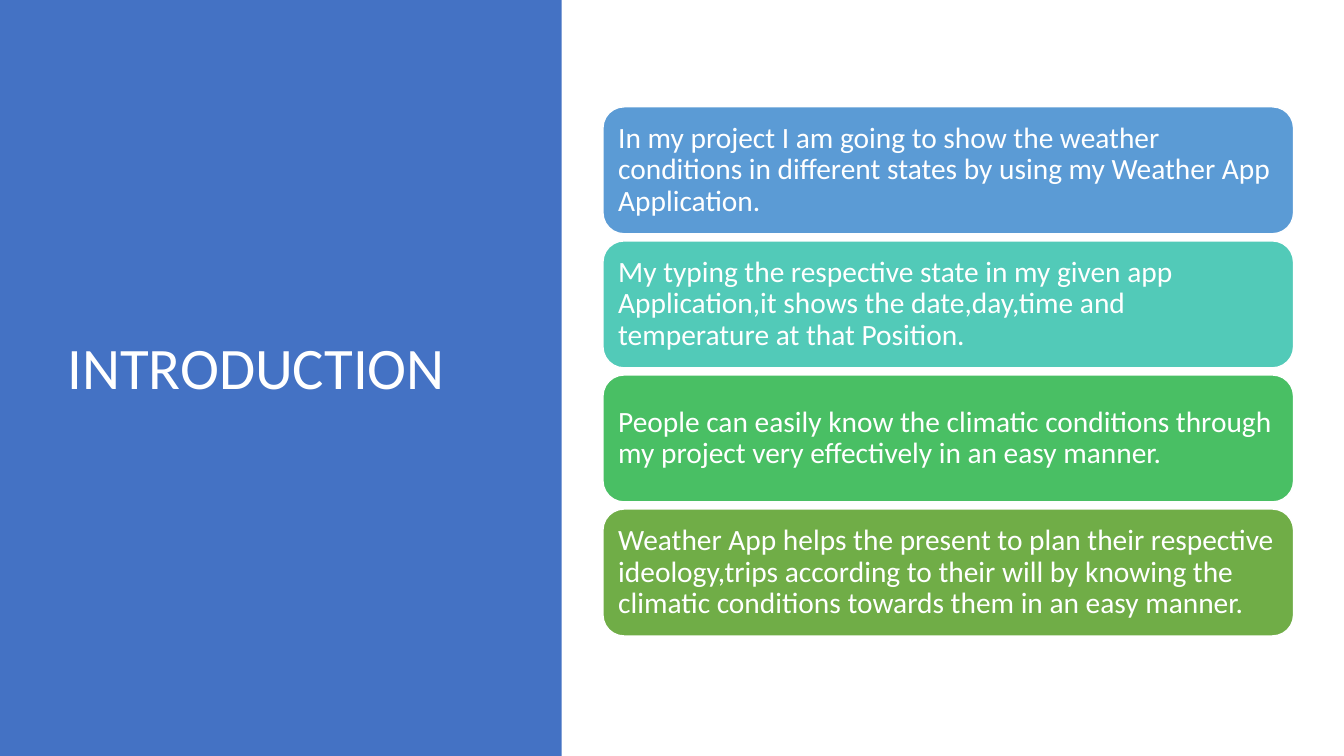
from dataclasses import dataclass

from pptx import Presentation
from pptx import util as u
from pptx.dml.color import RGBColor
from pptx.enum import shapes, text


@dataclass(frozen=True)
class Theme:
    font: str = "Calibri"
    title_size: int = 42
    card_size: int = 21
    white: str = "FFFFFF"
    panel: str = "4472C4"
    cards: tuple = ("5B9BD5", "52CAB8", "49BF64", "70AD47")


THEME = Theme()
WIDTH, HEIGHT = 13.33, 7.5
PANEL_BOX = (0, 0, 5.57, HEIGHT)
CARDS_BOX = (5.98, 1.06, 6.85, 5.25)
CARD_GAP = 0.07

STATEMENTS = (
    "In my project I am going to show the weather conditions in different "
    "states by using my Weather App Application.",
    "My typing the respective state in my given app Application,it shows the "
    "date,day,time and temperature at that Position.",
    "People can easily know the climatic conditions through my project very "
    "effectively in an easy manner.",
    "Weather App helps the present to plan their respective ideology,trips "
    "according to their will by knowing the climatic conditions towards them "
    "in an easy manner.",
)


def inches(box):
    return [u.Inches(length) for length in box]


def add_filled(slide, kind, box, color):
    shape = slide.shapes.add_shape(kind, *inches(box))
    shape.shadow.inherit = False
    shape.fill.solid()
    shape.fill.fore_color.rgb = RGBColor.from_string(color)
    shape.line.fill.background()
    return shape


def write(shape, words, size, inset):
    """Set left-aligned, vertically centred white text in a shape."""
    frame = shape.text_frame
    frame.word_wrap = True
    frame.vertical_anchor = text.MSO_ANCHOR.MIDDLE
    for side in ("left", "top", "right", "bottom"):
        setattr(frame, f"margin_{side}", u.Inches(inset))
    paragraph = frame.paragraphs[0]
    paragraph.alignment = text.PP_ALIGN.LEFT
    paragraph.line_spacing = 0.9
    run = paragraph.add_run()
    run.text = words
    run.font.name = THEME.font
    run.font.size = u.Pt(size)
    run.font.color.rgb = RGBColor.from_string(THEME.white)


def title_panel(slide, box, title):
    left, top, width, height = box
    add_filled(slide, shapes.MSO_SHAPE.RECTANGLE, box, THEME.panel)
    title_box = (left + 0.57, top + 0.09 * height, 0.75 * width, 0.8 * height)
    heading = slide.shapes.add_textbox(*inches(title_box))
    write(heading, title, THEME.title_size, 0.1)


def card_stack(slide, box, statements):
    left, top, width, height = box
    pitch = (height + CARD_GAP) / len(statements)
    for row, (statement, color) in enumerate(zip(statements, THEME.cards)):
        card_box = (left, top + row * pitch, width, pitch - CARD_GAP)
        card = add_filled(slide, shapes.MSO_SHAPE.ROUNDED_RECTANGLE, card_box, color)
        card.line.color.rgb = RGBColor.from_string(THEME.white)
        card.line.width = u.Pt(1)
        write(card, statement, THEME.card_size, 0.09)


def main():
    deck = Presentation()
    deck.slide_width, deck.slide_height = inches((WIDTH, HEIGHT))
    slide = deck.slides.add_slide(deck.slide_layouts[6])
    title_panel(slide, PANEL_BOX, "INTRODUCTION")
    card_stack(slide, CARDS_BOX, STATEMENTS)
    deck.save("out.pptx")


if __name__ == "__main__":
    main()
